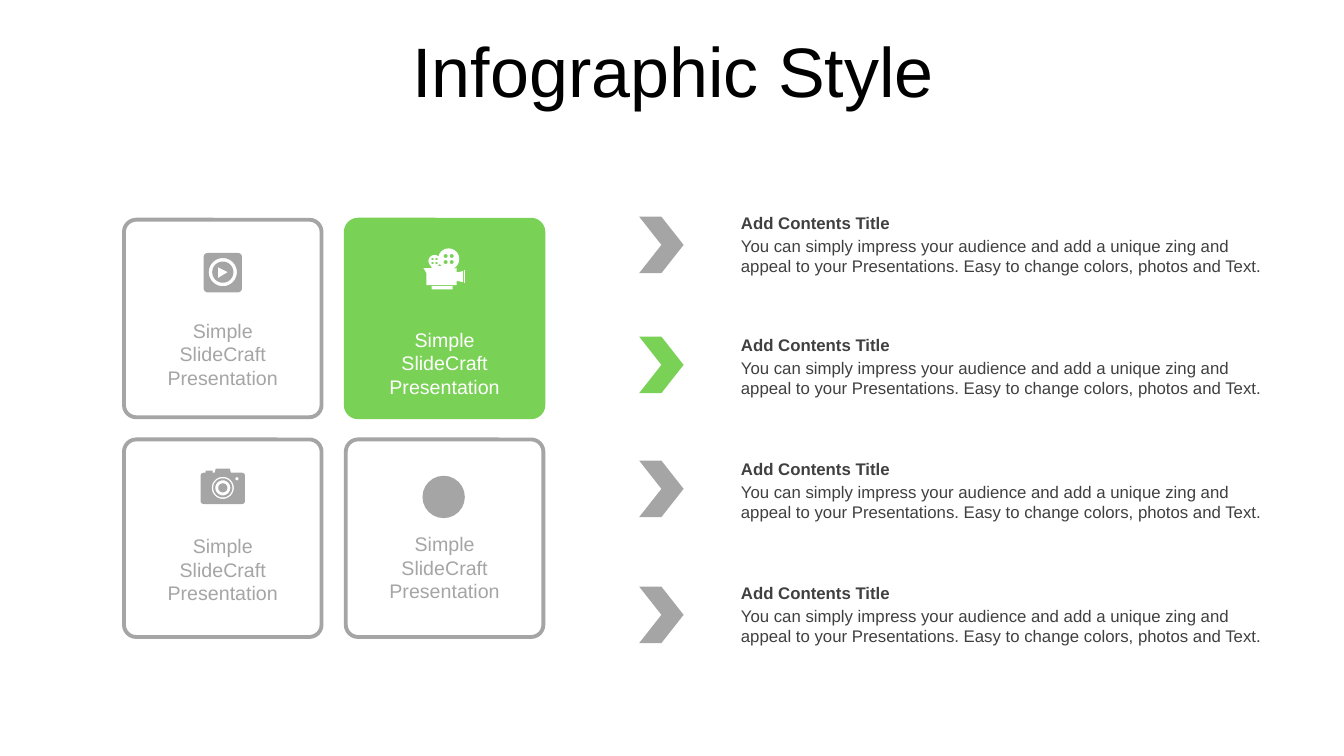
import math

import pptx
import pptx.dml.color
import pptx.enum.shapes
import pptx.enum.text
import pptx.util

Inches = pptx.util.Inches
SHAPE = pptx.enum.shapes.MSO_SHAPE
ALIGN = pptx.enum.text.PP_ALIGN
ANCHOR = pptx.enum.text.MSO_ANCHOR

# Content
GREY, GREEN, WHITE, DARK = "A5A5A5", "79D155", "FFFFFF", "404040"
TITLE = "Infographic Style"
CARD_LABEL = "Simple SlideCraft Presentation"
HEADING = "Add Contents Title"
BODY = ("You can simply impress your audience and add a unique zing and "
        "appeal to your Presentations. Easy to change colors, photos and Text.")
# column, row, fill, line, label colour, label top
CARDS = [
    (0, 0, WHITE, GREY, GREY, 3.11),
    (1, 0, GREEN, GREEN, WHITE, 3.2),
    (0, 1, WHITE, GREY, GREY, 5.25),
    (1, 1, WHITE, GREY, GREY, 5.23),
]
# chevron top, heading top, chevron colour
ROWS = [(2.15, 2.06, GREY), (3.34, 3.27, GREEN),
        (4.57, 4.5, GREY), (5.82, 5.73, GREY)]
CARD_LEFT, CARD_TOP, CARD_SIZE = 1.23, 2.18, 1.96
COLUMN_STEP, ROW_STEP = 2.2, 2.18


def color(value):
    return pptx.dml.color.RGBColor.from_string(value)


def arc(cx, cy, r, start=0, end=360, steps=32):
    """Points along an arc, angles in degrees, clockwise from the right."""
    angles = [math.radians(start + (end - start) * i / steps) for i in range(steps + 1)]
    return [(cx + r * math.cos(a), cy + r * math.sin(a)) for a in angles]


def box(left, top, right, bottom, r=0):
    corners = [(right - r, top + r, 270), (right - r, bottom - r, 0),
               (left + r, bottom - r, 90), (left + r, top + r, 180)]
    return [pt for x, y, a in corners for pt in arc(x, y, r, a, a + 90, 6 if r else 1)]


def paint(sp, fill, line=None):
    sp.shadow.inherit = False
    sp.fill.solid()
    sp.fill.fore_color.rgb = color(fill)
    if line:
        sp.line.color.rgb = color(line)
        sp.line.width = pptx.util.Pt(2.75)
    else:
        sp.line.fill.background()


def add_shape(kind, x, y, w, h, fill, line=None):
    sp = s.shapes.add_shape(kind, Inches(x), Inches(y), Inches(w), Inches(h))
    paint(sp, fill, line)
    return sp


def add_icon(contours, fill):
    """One freeform; contours inside others become holes."""
    builder = None
    for contour in contours:
        pts = [(Inches(x), Inches(y)) for x, y in contour]
        if builder is None:
            builder = s.shapes.build_freeform(*pts[0])
        else:
            builder.move_to(*pts[0])
        builder.add_line_segments(pts[1:], close=True)
    paint(builder.convert_to_shape(), fill)


def write(tf, text, size, fill, align=ALIGN.LEFT, bold=False):
    tf.word_wrap = True
    p = tf.paragraphs[0]
    p.alignment = align
    r = p.add_run()
    r.text = text
    formats = {"name": "Arial", "size": pptx.util.Pt(size), "bold": bold}
    for key, value in formats.items():
        setattr(r.font, key, value)
    r.font.color.rgb = color(fill)
    return p


def add_text(x, y, w, h, *args, **kwargs):
    sp = s.shapes.add_textbox(Inches(x), Inches(y), Inches(w), Inches(h))
    write(sp.text_frame, *args, **kwargs)


prs = pptx.Presentation()
prs.slide_width, prs.slide_height = Inches(13.33), Inches(7.5)
s = prs.slides.add_slide(prs.slide_layouts[5])

# Title
title = s.shapes.title
for name, value in {"left": 0.35, "top": 0.37, "width": 12.66, "height": 0.79}.items():
    setattr(title, name, Inches(value))
tf = title.text_frame
tf.auto_size = pptx.enum.text.MSO_AUTO_SIZE.NONE
tf.vertical_anchor = ANCHOR.MIDDLE
tf.margin_top = Inches(0.1)
write(tf, TITLE, 50, "000000", ALIGN.CENTER).line_spacing = 0.7

# Cards with labels
for column, row, fill, line, label_color, label_top in CARDS:
    x = CARD_LEFT + column * COLUMN_STEP
    card = add_shape(SHAPE.ROUNDED_RECTANGLE, x, CARD_TOP + row * ROW_STEP,
                     CARD_SIZE, CARD_SIZE, fill, line)
    card.adjustments[0] = 0.062
    add_text(x + 0.23, label_top, 1.5, 0.81, CARD_LABEL, 14, label_color, ALIGN.CENTER)

# Play icon
add_icon([
    box(2.02, 2.51, 2.4, 2.9, 0.04),
    arc(2.21, 2.7, 0.14),
    arc(2.21, 2.7, 0.105),
    [(2.16, 2.65), (2.26, 2.7), (2.16, 2.76)],
], GREY)

# Film camera icon
film_body = (
    arc(4.31, 2.59, 0.06, 121, 309) + arc(4.45, 2.57, 0.105, 194, 427)
    + [(4.53, 2.66), (4.53, 2.7), (4.55, 2.7), (4.59, 2.69), (4.59, 2.8),
       (4.55, 2.79), (4.53, 2.79), (4.53, 2.83), (4.23, 2.83), (4.23, 2.71),
       (4.2, 2.66), (4.28, 2.66)])
reel_holes = [arc(x, y, r, steps=16)
              for xs, ys, r in [((4.29, 4.33), (2.57, 2.61), 0.012),
                                ((4.42, 4.48), (2.54, 2.6), 0.02)]
              for x in xs for y in ys]
add_icon([
    film_body, *reel_holes,
    [(4.36, 2.62), (4.38, 2.64), (4.34, 2.64)],
    box(4.28, 2.84, 4.49, 2.87),
    [(4.6, 2.68), (4.61, 2.68), (4.61, 2.81), (4.6, 2.8)],
], WHITE)

# Photo camera icon
camera_body = (
    [(2.14, 4.65), (2.28, 4.65), (2.29, 4.69)]
    + arc(2.4, 4.72, 0.03, 270, 360, 6) + arc(2.4, 4.97, 0.03, 0, 90, 6)
    + arc(2.02, 4.97, 0.03, 90, 180, 6) + arc(2.02, 4.72, 0.03, 180, 270, 6)
    + [(2.04, 4.69), (2.04, 4.67), (2.11, 4.67), (2.11, 4.69), (2.13, 4.69)])
lens = [arc(2.21, 4.84, r) for r in (0.11, 0.095, 0.075, 0.045)]
add_icon([camera_body, *lens, arc(2.35, 4.75, 0.016)], GREY)

# Plain disc for the fourth card
add_shape(SHAPE.OVAL, 4.19, 4.72, 0.42, 0.42, GREY)

# Chevron rows
for chevron_top, heading_top, fill in ROWS:
    add_shape(SHAPE.CHEVRON, 6.34, chevron_top, 0.44, 0.56, fill)
    add_text(7.25, heading_top + 0.23, 5.39, 0.5, BODY, 12, DARK)
    add_text(7.25, heading_top, 5.39, 0.3, HEADING, 12, DARK, bold=True)

prs.save("out.pptx")
